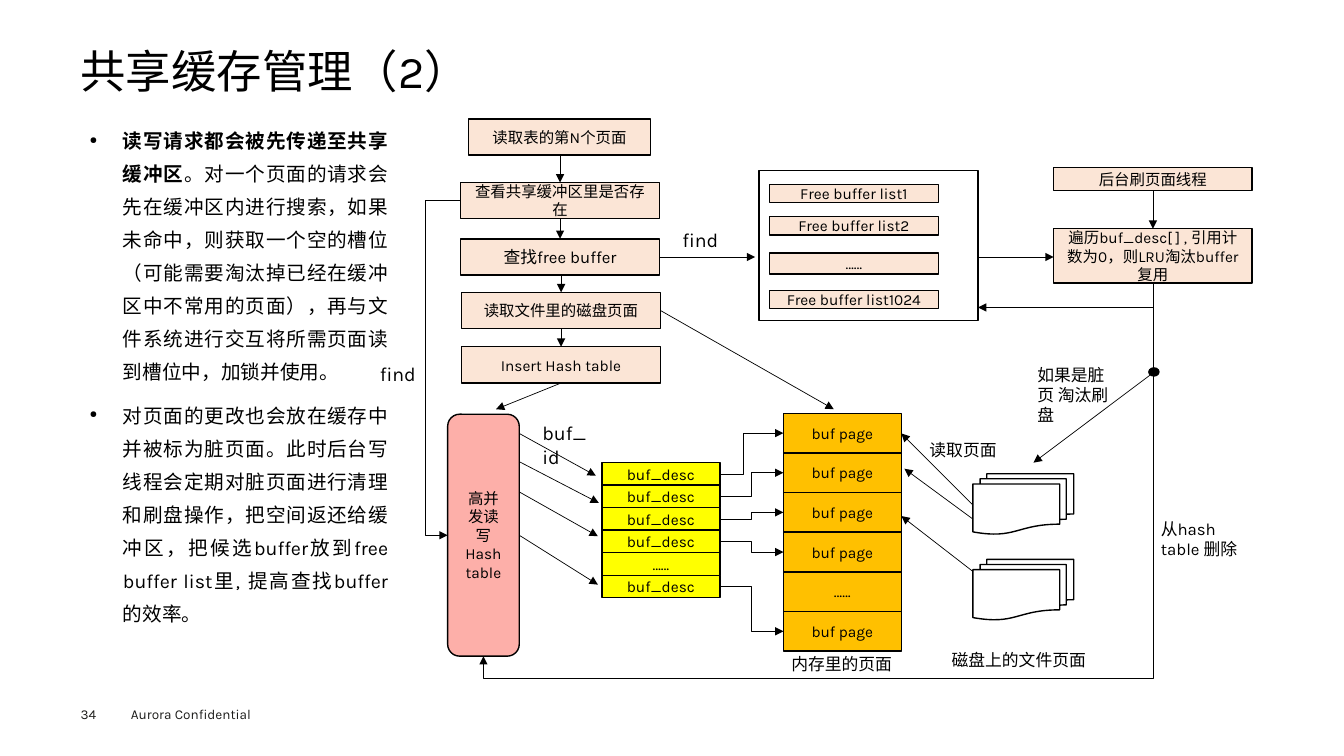
from collections import namedtuple

from lxml import etree
from pptx import Presentation
from pptx.dml.color import RGBColor
from pptx.enum.shapes import MSO_CONNECTOR, MSO_SHAPE
from pptx.enum.text import MSO_ANCHOR, PP_ALIGN
from pptx.oxml.ns import qn
from pptx.util import Inches, Pt

BLACK = RGBColor(0x00, 0x00, 0x00)
WHITE = RGBColor(0xFF, 0xFF, 0xFF)
FOOTER_GRAY = RGBColor(0x1D, 0x1D, 0x1B)
PEACH = RGBColor(0xFB, 0xE5, 0xD6)
YELLOW = RGBColor(0xFF, 0xFF, 0x00)
AMBER = RGBColor(0xFF, 0xC0, 0x00)
PINK = RGBColor(0xFD, 0xAF, 0xA9)
FONT = "Karla"

RECT, ROUNDED = MSO_SHAPE.RECTANGLE, MSO_SHAPE.ROUNDED_RECTANGLE
DOCUMENTS = MSO_SHAPE.FLOWCHART_MULTIDOCUMENT
DOT = MSO_SHAPE.FLOWCHART_CONNECTOR
STRAIGHT, ELBOW = MSO_CONNECTOR.STRAIGHT, MSO_CONNECTOR.ELBOW
LEFT, CENTER, JUSTIFY = PP_ALIGN.LEFT, PP_ALIGN.CENTER, PP_ALIGN.JUSTIFY
TOP, MIDDLE = MSO_ANCHOR.TOP, MSO_ANCHOR.MIDDLE

BODY = [
    [("读写请求都会被先传递至共享缓冲区", True),
     ("。对一个页面的请求会先在缓冲区内进行搜索，如果未命中，则获取一个空的槽位"
      "（可能需要淘汰掉已经在缓冲区中不常用的页面），再与文件系统进行交互将所需页面读"
      "到槽位中，加锁并使用。", False)],
    [("对页面的更改也会放在缓存中并被标为脏页面。此时后台写线程会定期对脏页面进行清理"
      "和刷盘操作，把空间返还给缓冲区，把候选buffer放到free buffer list里, "
      "提高查找buffer的效率。", False)],
]


class Box(namedtuple("Box", "left top width height")):
    @property
    def right(self):
        return self.left + self.width

    @property
    def bottom(self):
        return self.top + self.height

    @property
    def center(self):
        return self.left + self.width / 2

    @property
    def middle(self):
        return self.top + self.height / 2

    def inner(self, dx, dy, width, height):
        """Box placed relative to this box's top left corner."""
        return Box(self.left + dx, self.top + dy, width, height)

    def lengths(self):
        return [Inches(value) for value in self]


def write(paragraph, text, size=11, color=BLACK, bold=False, align=LEFT):
    paragraph.alignment = align
    run = paragraph.add_run()
    run.text = text
    font = run.font
    font.name, font.size, font.bold = FONT, Pt(size), bold
    font.color.rgb = color


def add_label(slide, box, text=None, inset=None, **style):
    frame = slide.shapes.add_textbox(*box.lengths()).text_frame
    frame.word_wrap = True
    frame.vertical_anchor = TOP
    if inset:
        frame.margin_left = frame.margin_right = Inches(inset[0])
        frame.margin_top = frame.margin_bottom = Inches(inset[1])
    if text:
        write(frame.paragraphs[0], text, **style)
    return frame


def add_node(slide, box, text="", fill=PEACH, kind=RECT, size=11):
    node = slide.shapes.add_shape(kind, *box.lengths())
    node.shadow.inherit = False
    node.fill.solid()
    node.fill.fore_color.rgb = fill
    node.line.color.rgb = BLACK
    node.line.width = Pt(1)
    if text:
        node.text_frame.vertical_anchor = MIDDLE
        write(node.text_frame.paragraphs[0], text, size=size, align=CENTER)
    return box


def add_arrow(slide, start, end, bend=None, vertical=False):
    """Straight arrow, or an elbow turning at the fraction bend of its run."""
    if vertical:
        mid_x, mid_y = (start[0] + end[0]) / 2, (start[1] + end[1]) / 2
        half_run, half_rise = (end[1] - start[1]) / 2, (start[0] - end[0]) / 2
        start = mid_x - half_run, mid_y - half_rise
        end = mid_x + half_run, mid_y + half_rise
    kind = STRAIGHT if bend is None else ELBOW
    arrow = slide.shapes.add_connector(kind, *map(Inches, (*start, *end)))
    arrow.line.color.rgb = BLACK
    arrow.line.width = Pt(0.5)
    properties = arrow._element.spPr
    etree.SubElement(properties.find(qn("a:ln")), qn("a:tailEnd"), type="triangle")
    etree.SubElement(properties, qn("a:effectLst"))
    if vertical:
        properties.find(qn("a:xfrm")).set("rot", "5400000")
    if bend is not None:
        geometry = properties.find(qn("a:prstGeom"))
        guides = geometry.find(qn("a:avLst"))
        if guides is None:
            guides = etree.SubElement(geometry, qn("a:avLst"))
        etree.SubElement(guides, qn("a:gd"), name="adj1",
                         fmla=f"val {round(bend * 100000)}")


def add_explanation(slide, box):
    frame = add_label(slide, box, inset=(0.09, 0.04))
    for index, runs in enumerate(BODY):
        paragraph = frame.add_paragraph() if index else frame.paragraphs[0]
        properties = paragraph._p.get_or_add_pPr()
        properties.set("marL", str(Inches(0.33)))
        properties.set("indent", str(-Inches(0.33)))
        etree.SubElement(properties, qn("a:buSzPct"), val="50000")
        etree.SubElement(properties, qn("a:buChar"), char="●")
        paragraph.line_spacing = 1.4
        if index:
            paragraph.space_before = Pt(7.9)
        for text, bold in runs:
            write(paragraph, text, size=14, bold=bold, align=JUSTIFY)


def add_footer(slide, box):
    style = {"size": 9.7, "color": FOOTER_GRAY}
    add_label(slide, box.inner(0, 0.05, 0.55, 0.16), "34", inset=(0, 0), **style)
    add_label(slide, box.inner(0.4, 0, 1.6, 0.27), "Aurora Confidential", **style)


def add_request_steps(slide, box):
    steps = [("读取表的第N个页面", 0.08, 0, 1.8, 11),
             ("查看共享缓冲区里是否存在", 0, 0.63, 1.97, 11),
             ("查找free buffer", 0, 1.19, 1.97, 12),
             ("读取文件里的磁盘页面", 0.01, 1.72, 1.97, 11),
             ("Insert Hash table", 0.01, 2.26, 1.97, 11)]
    nodes = [add_node(slide, box.inner(dx, dy, width, 0.36), text, size=size)
             for text, dx, dy, width, size in steps]
    for upper, lower in zip(nodes, nodes[1:]):
        add_arrow(slide, (lower.center, upper.bottom), (lower.center, lower.top))
    return nodes


def add_free_lists(slide, box):
    add_node(slide, box, fill=WHITE)
    rows = [("Free buffer list1", 0.14, 0.18), ("Free buffer list2", 0.46, 0.18),
            ("……", 0.82, 0.21), ("Free buffer list1024", 1.19, 0.18)]
    for text, dy, height in rows:
        add_node(slide, box.inner(0.1, dy, 1.68, height), text)


def add_cleaner(slide, box):
    thread = add_node(slide, box.inner(0, 0, box.width, 0.23), "后台刷页面线程")
    scan = add_node(slide, box.inner(0, 0.61, box.width, 0.54),
                    "遍历buf_desc[ ] , 引用计数为0，则LRU淘汰buffer复用")
    add_arrow(slide, (thread.center, thread.bottom), (scan.center, scan.top))
    return scan


def add_stack(slide, box, name, fill):
    """Column of six cells, the fifth standing for those left out."""
    names = [name] * 4 + ["……", name]
    pitch = box.height / len(names)
    return [add_node(slide, box.inner(0, row * pitch, box.width, pitch), text, fill)
            for row, text in enumerate(names)]


def add_disk_files(slide, box):
    for dy in (0, 0.85):
        add_node(slide, box.inner(0, dy, 1, 0.6), fill=WHITE, kind=DOCUMENTS)
    for start_y, dx, end_y in ((0.31, -0.71, -0.4), (0.97, -0.71, 0.42),
                               (0.45, -0.68, -0.05)):
        add_arrow(slide, (box.left, box.top + start_y),
                  (box.left + dx, box.top + end_y))
    add_label(slide, box.inner(-0.53, -0.39, 0.99, 0.3), "读取页面", size=12)
    add_label(slide, box.inner(-0.31, 1.7, 1.63, 0.31), "磁盘上的文件页面", size=12)


def add_hash_table(slide, box):
    add_node(slide, box, "高并发读写Hash table", PINK, ROUNDED)
    for start_y, dx, end_y in ((0.19, 0.76, 0.61), (0.47, 0.79, 0.88),
                               (0.77, 0.78, 1.21), (1.2, 0.78, 1.69)):
        add_arrow(slide, (box.right, box.top + start_y),
                  (box.right + dx, box.top + end_y))
    add_label(slide, box.inner(0.84, 0.02, 0.69, 0.57), "buf_id", size=14)


def link_descriptors(slide, descriptors, pages):
    for row, bend in ((0, 0.37), (1, 0.5), (2, 0.5), (3, 0.5), (5, 0.5)):
        source, target = descriptors[row], pages[row]
        add_arrow(slide, (source.right, source.middle),
                  (target.left, target.middle), bend)


def link_cleaner(slide, scan, lists, table):
    x = scan.center
    add_arrow(slide, (lists.right, 2.55), (scan.left, 2.55))
    add_arrow(slide, (x, 3.05), (lists.right, 3.05))
    add_arrow(slide, (x, scan.bottom), (table.center, table.bottom), 1.06, True)
    add_node(slide, Box(x - 0.04, 3.65, 0.1, 0.08), fill=BLACK, kind=DOT)
    add_arrow(slide, (x, 3.7), (10.25, 4.59))
    add_label(slide, Box(10.19, 3.57, 0.94, 0.71), "如果是脏页 淘汰刷盘", size=12)
    add_label(slide, Box(x - 0.02, 5.1, 1, 0.5), "从hash table 删除", size=12)


def link_steps(slide, steps, lists, table, pages):
    _, lookup, find_free, read_page, insert = steps
    add_arrow(slide, (lookup.left, lookup.middle), (table.left, table.middle), 2.73)
    add_arrow(slide, (find_free.right, find_free.middle),
              (lists.left - 0.04, find_free.middle))
    add_arrow(slide, (read_page.right, read_page.middle), (8.27, pages.top - 0.04))
    add_arrow(slide, (insert.center, insert.bottom), (4.92, table.top - 0.05))
    add_label(slide, Box(3.67, 3.54, 0.62, 0.34), "find", size=14)
    add_label(slide, Box(6.67, 2.21, 0.59, 0.34), "find", size=14)


def add_buffer_slide(deck):
    slide = deck.slides.add_slide(deck.slide_layouts[6])
    title = add_label(slide, Box(0.8, 0.49, 11.73, 0.53), "共享缓存管理（2）",
                      inset=(0, 0), size=32.4)
    title.paragraphs[0].line_spacing = 0.9
    add_explanation(slide, Box(0.8, 1.15, 3.14, 5.34))
    add_footer(slide, Box(0.8, 6.95, 2, 0.27))
    lists, table = Box(7.53, 1.69, 2.17, 1.49), Box(4.44, 4.11, 0.71, 2.4)
    page_area = Box(7.77, 4.1, 1.17, 2.36)
    add_free_lists(slide, lists)
    descriptors = add_stack(slide, Box(5.97, 4.59, 1.17, 1.34), "buf_desc", YELLOW)
    pages = add_stack(slide, page_area, "buf page", AMBER)
    add_label(slide, page_area.inner(-0.02, 2.34, 1.24, 0.3), "内存里的页面", size=12)
    link_descriptors(slide, descriptors, pages)
    add_hash_table(slide, table)
    add_disk_files(slide, Box(9.65, 4.7, 1, 1.45))
    steps = add_request_steps(slide, Box(4.57, 1.18, 1.98, 2.62))
    scan = add_cleaner(slide, Box(10.45, 1.66, 1.97, 1.15))
    link_steps(slide, steps, lists, table, page_area)
    link_cleaner(slide, scan, lists, table)


def main():
    deck = Presentation()
    deck.slide_width, deck.slide_height = Inches(13.33), Inches(7.5)
    add_buffer_slide(deck)
    deck.save("out.pptx")


if __name__ == "__main__":
    main()
